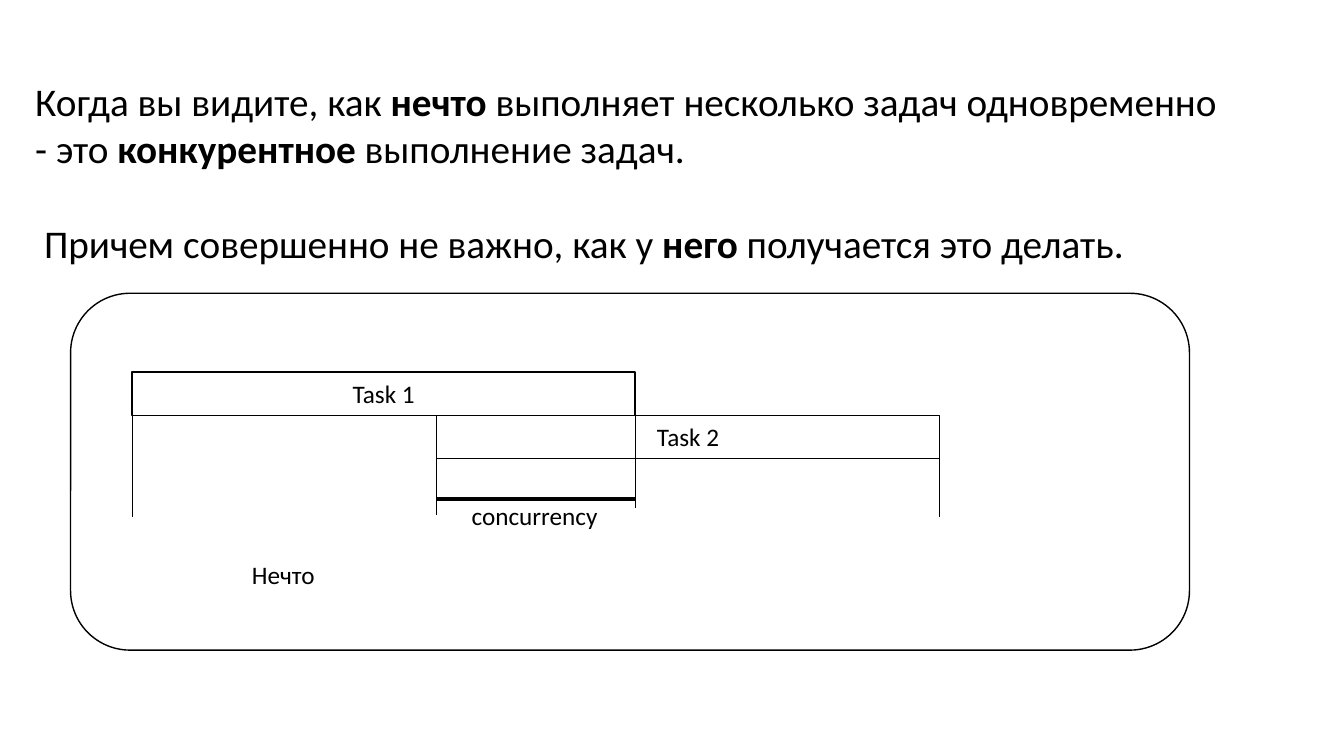
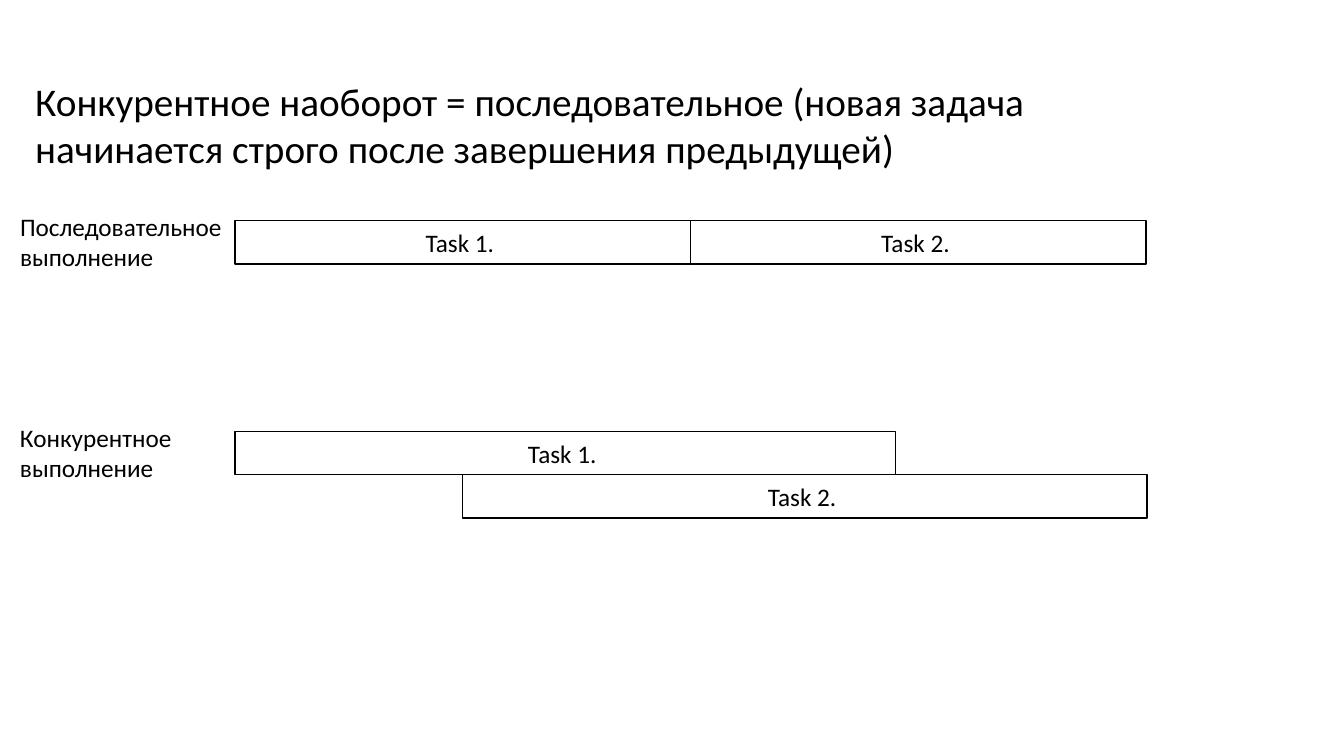
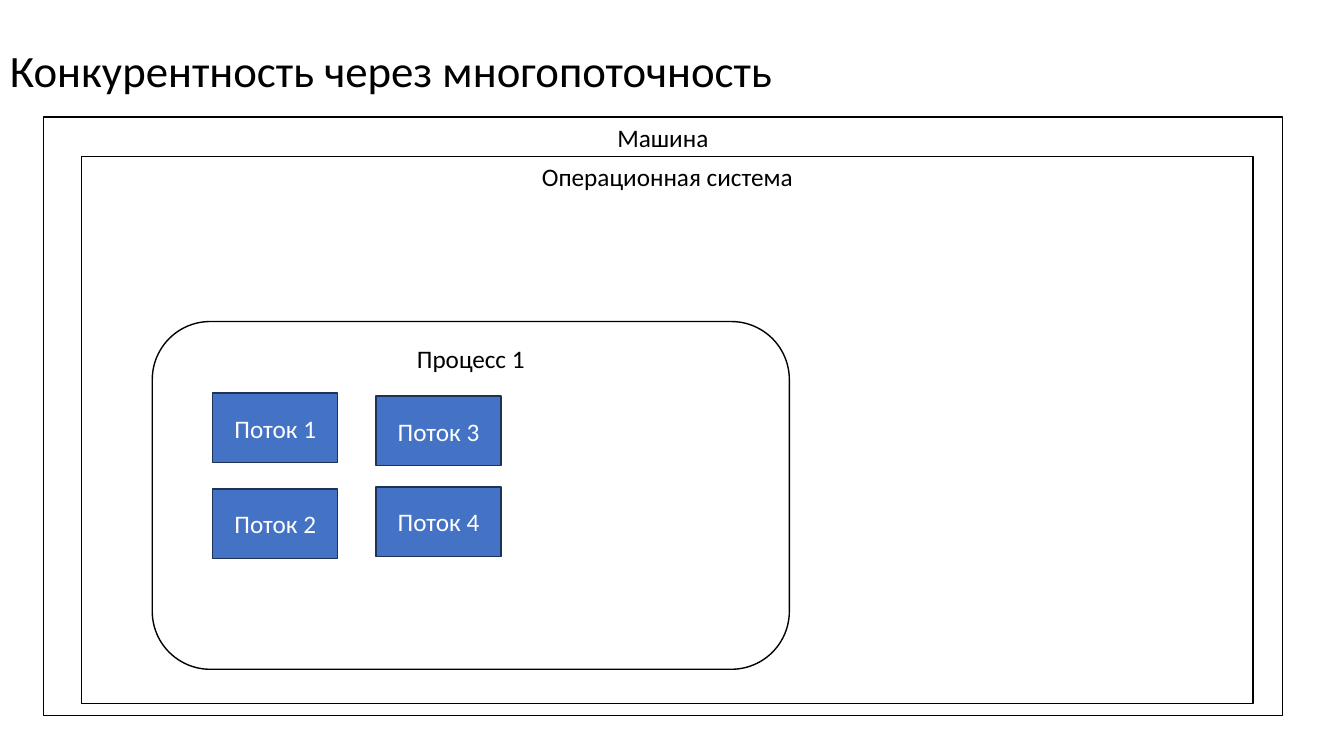
import dataclasses

import pptx
import pptx.dml.color
import pptx.enum.shapes
import pptx.enum.text
import pptx.util
from lxml import etree
from pptx.oxml.ns import qn


@dataclasses.dataclass(frozen=True)
class Theme:
    font: str = "Calibri"
    ink: str = "000000"
    paper: str = "FFFFFF"
    thread: str = "4472C4"
    thread_edge: str = "1E3256"
    title: int = 32
    statement: int = 28
    label: int = 18
    edge: float = 1
    guide: float = 0.5
    mark: float = 2.25


THEME = Theme()
RGB = pptx.dml.color.RGBColor.from_string
SHAPES = pptx.enum.shapes.MSO_SHAPE
ANCHOR = pptx.enum.text.MSO_ANCHOR
ALIGN = pptx.enum.text.PP_ALIGN

presentation = pptx.Presentation()
presentation.slide_width = pptx.util.Inches(13.33)
presentation.slide_height = pptx.util.Inches(7.5)

# The grid has 100 columns and 100 rows: every length is a percentage of the slide
COLUMN = presentation.slide_width / 100
ROW = presentation.slide_height / 100
BAR_HEIGHT = 5.73
STATEMENT_LEFT, STATEMENT_TOP, STATEMENT_WIDTH = 1.88, 9.6, 89.4


def add_box(slide, place, paragraphs=(), kind=None, fill=None, edge=THEME.ink,
            ink=THEME.ink, size=THEME.label, anchor=ANCHOR.TOP, wrap=True):
    """Add a shape, or a text box when kind is None; a run is (text, bold)."""
    left, top, width, height = place
    frame = [int(left * COLUMN), int(top * ROW), int(width * COLUMN), int(height * ROW)]
    if kind is None:
        shape = slide.shapes.add_textbox(*frame)
    else:
        shape = slide.shapes.add_shape(kind, *frame)
        shape.shadow.inherit = False
        shape.line.color.rgb = RGB(edge)
        shape.line.width = pptx.util.Pt(THEME.edge)
        if fill:
            shape.fill.solid()
            shape.fill.fore_color.rgb = RGB(fill)
        else:
            shape.fill.background()
    text_frame = shape.text_frame
    text_frame.word_wrap = wrap
    text_frame.vertical_anchor = anchor
    for number, runs in enumerate(paragraphs):
        paragraph = text_frame.add_paragraph() if number else text_frame.paragraphs[0]
        paragraph.alignment = ALIGN.CENTER if kind else ALIGN.LEFT
        for text, bold in runs:
            run = paragraph.add_run()
            run.text = text
            run.font.name = THEME.font
            run.font.size = pptx.util.Pt(size)
            run.font.bold = bold
            run.font.color.rgb = RGB(ink)
    return shape


def add_line(slide, start, end, weight):
    (start_x, start_y), (end_x, end_y) = start, end
    line = slide.shapes.add_connector(
        pptx.enum.shapes.MSO_CONNECTOR.STRAIGHT,
        int(start_x * COLUMN), int(start_y * ROW), int(end_x * COLUMN), int(end_y * ROW))
    line.line.color.rgb = RGB(THEME.ink)
    line.line.width = pptx.util.Pt(weight)
    etree.SubElement(line._element.spPr, qn("a:effectLst"))


blank = presentation.slide_layouts[6]
concurrent_slide, compare_slide, thread_slide = [
    presentation.slides.add_slide(blank) for _ in range(3)]

# Slide 1: what concurrent execution is
statement = add_box(
    concurrent_slide, (STATEMENT_LEFT, STATEMENT_TOP, STATEMENT_WIDTH, 26.53),
    [[("Когда вы видите, как ", False), ("нечто", True),
      (" выполняет несколько задач одновременно - это ", False),
      ("конкурентное", True), (" выполнение задач.", False)],
     [("Причем совершенно не важно, как у ", False), ("него", True),
      (" получается это делать.", False)]],
    size=THEME.statement)
remark = statement.text_frame.paragraphs[1]
remark.space_before = pptx.util.Pt(34)
remark._p.get_or_add_pPr().set("marL", str(pptx.util.Pt(6.3)))

# Two overlapping tasks inside the executor's outline
first_left, second_left, task_width, task_top = 9.83, 32.48, 37.43, 49.2
first_right, second_right = first_left + task_width, second_left + task_width
second_top = task_top + BAR_HEIGHT
for name, left, top in (("Task 1", first_left, task_top), ("Task 2", second_left, second_top)):
    add_box(concurrent_slide, (left, top, task_width, BAR_HEIGHT), [[(name, False)]],
            SHAPES.RECTANGLE, THEME.paper, anchor=ANCHOR.MIDDLE)
add_box(concurrent_slide, (5.25, 38.8, 83.25, 47.2), kind=SHAPES.ROUNDED_RECTANGLE)
add_box(concurrent_slide, (18, 73.33, 6.23, 5.33), [[("Нечто", False)]], wrap=False)

# Guides at the start and end of each task, and the mark of their overlap
for x, top, bottom in ((first_left, task_top, 68.4), (second_left, second_top, 68.13),
                       (first_right, 54, 67.2), (second_right, 55.2, 68.4)):
    add_line(concurrent_slide, (x, top), (x, bottom), THEME.guide)
add_line(concurrent_slide, (second_left, 66), (first_right, 66), THEME.mark)
add_box(concurrent_slide, (34.35, 65.47, 11.03, 5.33), [[("concurrency", False)]], wrap=False)

# Slide 2: sequential against concurrent
add_box(compare_slide, (STATEMENT_LEFT, STATEMENT_TOP, STATEMENT_WIDTH, 13.87),
        [[("Конкурентное наоборот = последовательное (новая задача начинается "
           "строго после завершения предыдущей)", False)]],
        size=THEME.statement)
bars_left, half_width = 17.48, 33.9
for mode, label_width, top, first_width, second_start, second_width, drop in (
        ("Последовательное", 16.65, 29.2, half_width, bars_left + half_width, half_width, 0),
        ("Конкурентное", 12.9, 57.07, 49.13, 34.43, 50.93, BAR_HEIGHT)):
    for name, left, bar_top, width in (("Task 1. ", bars_left, top, first_width),
                                       ("Task 2. ", second_start, top + drop, second_width)):
        add_box(compare_slide, (left, bar_top, width, BAR_HEIGHT), [[(name, False)]],
                SHAPES.RECTANGLE, THEME.paper, anchor=ANCHOR.MIDDLE)
    add_box(compare_slide, (0.75, top - 1.87, label_width, 9.47),
            [[(mode, False)], [("выполнение", False)]], wrap=False)

# Slide 3: threads inside a process
title = add_box(thread_slide, (0, 0, 86.25, 19.33),
                [[("Конкурентность через многопоточность", False)]],
                size=THEME.title, anchor=ANCHOR.MIDDLE)
title.text_frame.paragraphs[0].line_spacing = 0.9

# Nested containers, from the outside in
for name, kind, place in (
        ("Машина", SHAPES.RECTANGLE, (3.23, 15.47, 92.18, 79.2)),
        ("Операционная система", SHAPES.RECTANGLE, (6.08, 20.67, 87.15, 72.4)),
        ("Процесс 1", SHAPES.ROUNDED_RECTANGLE, (11.33, 42.53, 47.4, 46))):
    add_box(thread_slide, place, [[(name, False)]], kind, THEME.paper)

# Threads, column by column
thread_places = [(left, top) for left, tops in ((15.83, (52, 64.67)), (27.98, (52.4, 64.4)))
                 for top in tops]
for number, (left, top) in enumerate(thread_places, 1):
    add_box(thread_slide, (left, top, 9.3, 9.2), [[(f"Поток {number}", False)]],
            SHAPES.RECTANGLE, THEME.thread, THEME.thread_edge, THEME.paper,
            anchor=ANCHOR.MIDDLE)

presentation.save("out.pptx")
